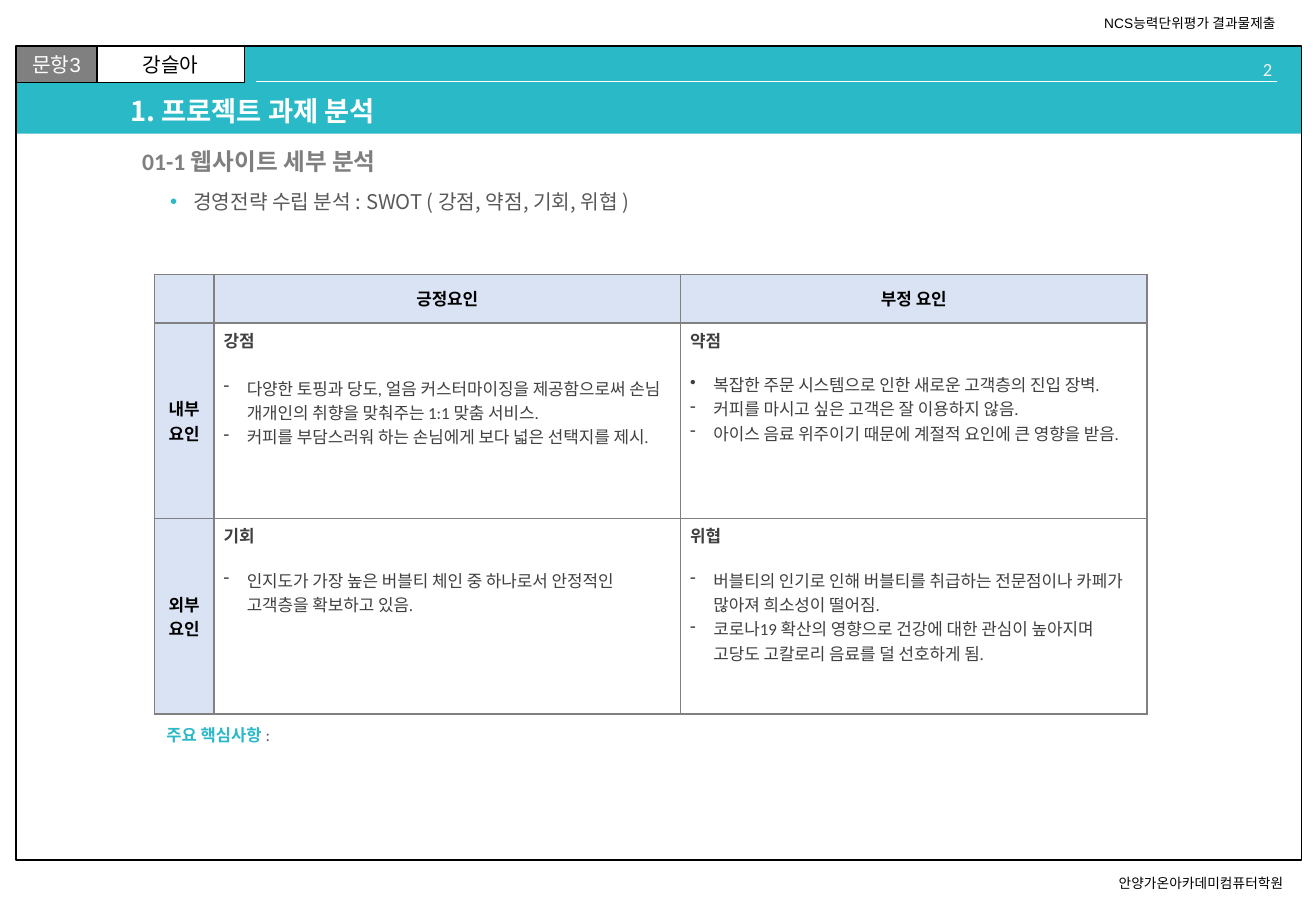
from collections import namedtuple
from lxml import etree
from pptx import Presentation
from pptx import util as u
from pptx.dml.color import RGBColor
from pptx.enum import shapes, text
from pptx.oxml import ns

TEAL = RGBColor(0x2A, 0xB9, 0xC7)
GREY = RGBColor(0x80, 0x80, 0x80)
DIM = RGBColor(0x7F, 0x7F, 0x7F)
SOFT = RGBColor(0x59, 0x59, 0x59)
DARK = RGBColor(0x40, 0x40, 0x40)
PALE = RGBColor(0xF2, 0xF2, 0xF2)
BLUE = RGBColor(0xDA, 0xE3, 0xF3)
WHITE = RGBColor(0xFF, 0xFF, 0xFF)
BLACK = RGBColor(0, 0, 0)
SANS, NOTO, BODY = "Arial", "Noto Sans CJK KR", "Calibri"
LEFT, MID, RIGHT = text.PP_ALIGN.LEFT, text.PP_ALIGN.CENTER, text.PP_ALIGN.RIGHT
HANG = u.Inches(0.19)

# Each cell: heading, gap below it in points, list of (bullet, line)
SWOT = [
    ("내부요인", [
        ("강점", 14, [
            ("-", "다양한 토핑과 당도, 얼음 커스터마이징을 제공함으로써 손님 개개인의 취향을 맞춰주는 1:1 맞춤 서비스."),
            ("-", "커피를 부담스러워 하는 손님에게 보다 넓은 선택지를 제시.")]),
        ("약점", 12, [
            ("•", "복잡한 주문 시스템으로 인한 새로운 고객층의 진입 장벽."),
            ("-", "커피를 마시고 싶은 고객은 잘 이용하지 않음."),
            ("-", "아이스 음료 위주이기 때문에 계절적 요인에 큰 영향을 받음.")])]),
    ("외부요인", [
        ("기회", 12, [
            ("-", "인지도가 가장 높은 버블티 체인 중 하나로서 안정적인 고객층을 확보하고 있음.")]),
        ("위협", 12, [
            ("-", "버블티의 인기로 인해 버블티를 취급하는 전문점이나 카페가 많아져 희소성이 떨어짐."),
            ("-", "코로나19 확산의 영향으로 건강에 대한 관심이 높아지며 고당도 고칼로리 음료를 덜 선호하게 됨.")])]),
]


class Box(namedtuple("Box", "x y w h")):
    def cut(self, x, y, w, h):
        """Inner box, given in percent of this one."""
        return Box(int(self.x + self.w * x / 100), int(self.y + self.h * y / 100),
                   int(self.w * w / 100), int(self.h * h / 100))


def style(para, face, size, tint, bold=False, align=LEFT):
    font = para.font
    font.name, font.size, font.bold = face, u.Pt(size), bold
    font.color.rgb = tint
    para.alignment = align


def bullet(para, mark, tint=None):
    props = para._p.get_or_add_pPr()
    props.set("marL", str(HANG))
    props.set("indent", str(-HANG))
    late = props.find(ns.qn("a:defRPr"))
    if tint:
        hue = etree.Element(ns.qn("a:buClr"))
        etree.SubElement(hue, ns.qn("a:srgbClr"), val=str(tint))
        late.addprevious(hue)
    late.addprevious(etree.Element(ns.qn("a:buChar"), char=mark))


def label(slide, box, words, face, size, tint, align=LEFT, wrap=True):
    frame = slide.shapes.add_textbox(*box).text_frame
    frame.word_wrap = wrap
    para = frame.paragraphs[0]
    para.text = words
    style(para, face, size, tint, align=align)
    return para


def panel(slide, box, fill=None, line=None, width=1, words="", tint=BLACK):
    shape = slide.shapes.add_shape(shapes.MSO_SHAPE.RECTANGLE, *box)
    shape.shadow.inherit = False
    if fill is None:
        shape.fill.background()
    else:
        shape.fill.solid()
        shape.fill.fore_color.rgb = fill
    if line is None:
        shape.line.fill.background()
    else:
        shape.line.color.rgb = line
        shape.line.width = u.Pt(width)
    if words:
        para = shape.text_frame.paragraphs[0]
        para.text = words
        style(para, SANS, 12, tint, align=MID)


def place(holder, box, words, anchor):
    holder.left, holder.top, holder.width, holder.height = box
    holder.element.getparent().append(holder.element)  # bring to front
    frame = holder.text_frame
    frame.text = words
    frame.word_wrap = True
    frame.auto_size = text.MSO_AUTO_SIZE.NONE
    frame.vertical_anchor = anchor
    return frame.paragraphs[0]


def page(slide, box):
    # Border and the two margin labels
    panel(slide, box.cut(1.2, 5.07, 97.69, 89.33), line=BLACK)
    label(slide, box.cut(83, 0.93, 15.9, 3.2), "NCS능력단위평가 결과물제출",
          SANS, 8.1, BLACK, wrap=False)
    label(slide, box.cut(84.1, 95.33, 15.5, 3.2), "안양가온아카데미컴퓨터학원",
          SANS, 8.1, BLACK, wrap=False)


def head(slide, box):
    # Band, tabs, page number, rule and title
    panel(slide, box, TEAL)
    panel(slide, box.cut(0, 0, 6.33, 41.67), GREY, BLACK, 0.75, "문항3", WHITE)
    panel(slide, box.cut(6.33, 0, 11.44, 41.67), WHITE, BLACK, 0.75, "강슬아")
    label(slide, box.cut(87.52, 6.94, 11.15, 27.78), "2", BODY, 11, PALE, RIGHT)
    rule = box.cut(18.71, 40.28, 79.4, 0)
    line = slide.shapes.add_connector(
        shapes.MSO_CONNECTOR.STRAIGHT, rule.x, rule.y, rule.x + rule.w, rule.y)
    line.line.color.rgb = WHITE
    line.line.width = u.Pt(0.5)
    etree.SubElement(line.element.spPr, ns.qn("a:effectLst"))
    para = place(slide.shapes.title, box.cut(7.94, 52.78, 82.8, 47.22),
                 "1. 프로젝트 과제 분석", text.MSO_ANCHOR.MIDDLE)
    style(para, NOTO, 16.2, WHITE, True)
    para.line_spacing = 0.9


def intro(slide, box):
    # Subtitle and topic line
    para = place(slide.placeholders[1], box.cut(0, 0, 100, 50),
                 "01-1 웹사이트 세부 분석", text.MSO_ANCHOR.MIDDLE)
    style(para, BODY, 14, DIM, True)
    para.line_spacing, para.space_before = 0.9, u.Pt(10)
    props = para._p.get_or_add_pPr()
    props.set("marL", "0")
    props.set("indent", "0")
    props.find(ns.qn("a:defRPr")).addprevious(etree.Element(ns.qn("a:buNone")))
    para = place(slide.placeholders[2], box.cut(2.66, 50, 97.34, 50),
                 "경영전략 수립 분석 : SWOT ( 강점, 약점, 기회, 위협 )", text.MSO_ANCHOR.TOP)
    style(para, NOTO, 12, SOFT)
    para.space_before = u.Pt(3)
    bullet(para, "•", TEAL)


def paint(cell, fill):
    cell.fill.solid()
    cell.fill.fore_color.rgb = fill
    cell.margin_left = cell.margin_right = u.Inches(0.08)
    cell.margin_top = cell.margin_bottom = u.Inches(0.04)
    props = cell._tc.get_or_add_tcPr()
    for spot, side in enumerate(("lnL", "lnR", "lnT", "lnB")):
        edge = etree.Element(ns.qn("a:" + side), w=str(u.Pt(1)))
        ink = etree.SubElement(edge, ns.qn("a:solidFill"))
        etree.SubElement(ink, ns.qn("a:srgbClr"), val=str(GREY))
        props.insert(spot, edge)


def title(cell, words):
    paint(cell, BLUE)
    cell.vertical_anchor = text.MSO_ANCHOR.MIDDLE
    if words:
        para = cell.text_frame.paragraphs[0]
        para.text = words
        style(para, BODY, 10, BLACK, True, MID)


def factor(cell, name, gap, items):
    paint(cell, WHITE)
    para = cell.text_frame.paragraphs[0]
    para.text = name
    style(para, BODY, 10, DARK, True)
    para.space_after = u.Pt(gap)
    for mark, words in items:
        para = cell.text_frame.add_paragraph()
        para.text = words
        style(para, BODY, 10, DARK)
        bullet(para, mark)


def matrix(slide, box):
    # SWOT table
    table = slide.shapes.add_table(3, 3, *box).table
    table.first_row = table.horz_banding = False
    for col, share in zip(table.columns, (6, 47, 47)):
        col.width = int(box.w * share / 100)
    for row, share in zip(table.rows, (11, 44.5, 44.5)):
        row.height = int(box.h * share / 100)
    for c, words in enumerate(("", "긍정요인", "부정 요인")):
        title(table.cell(0, c), words)
    for r, (name, cells) in enumerate(SWOT, 1):
        title(table.cell(r, 0), name)
        for c, data in enumerate(cells, 1):
            factor(table.cell(r, c), *data)


def note(slide, box):
    # Key points line
    para = label(slide, box, "주요 핵심사항 ", BODY, 9.8, TEAL)
    para.runs[0].font.bold = True
    tail = para.add_run()
    tail.text = ":"
    tail.font.color.rgb = SOFT


deck = Presentation()
deck.slide_width, deck.slide_height = u.Inches(10.83), u.Inches(7.5)
slide = deck.slides.add_slide(deck.slide_layouts[3])
full = Box(0, 0, deck.slide_width, deck.slide_height)
head(slide, full.cut(1.2, 5.07, 97.69, 9.6))
page(slide, full)
intro(slide, full.cut(9.88, 15.6, 79.96, 9.07))
matrix(slide, full.cut(11.73, 30.13, 75.44, 48.27))
note(slide, full.cut(11.73, 78.93, 75.44, 3.6))
deck.save("out.pptx")
